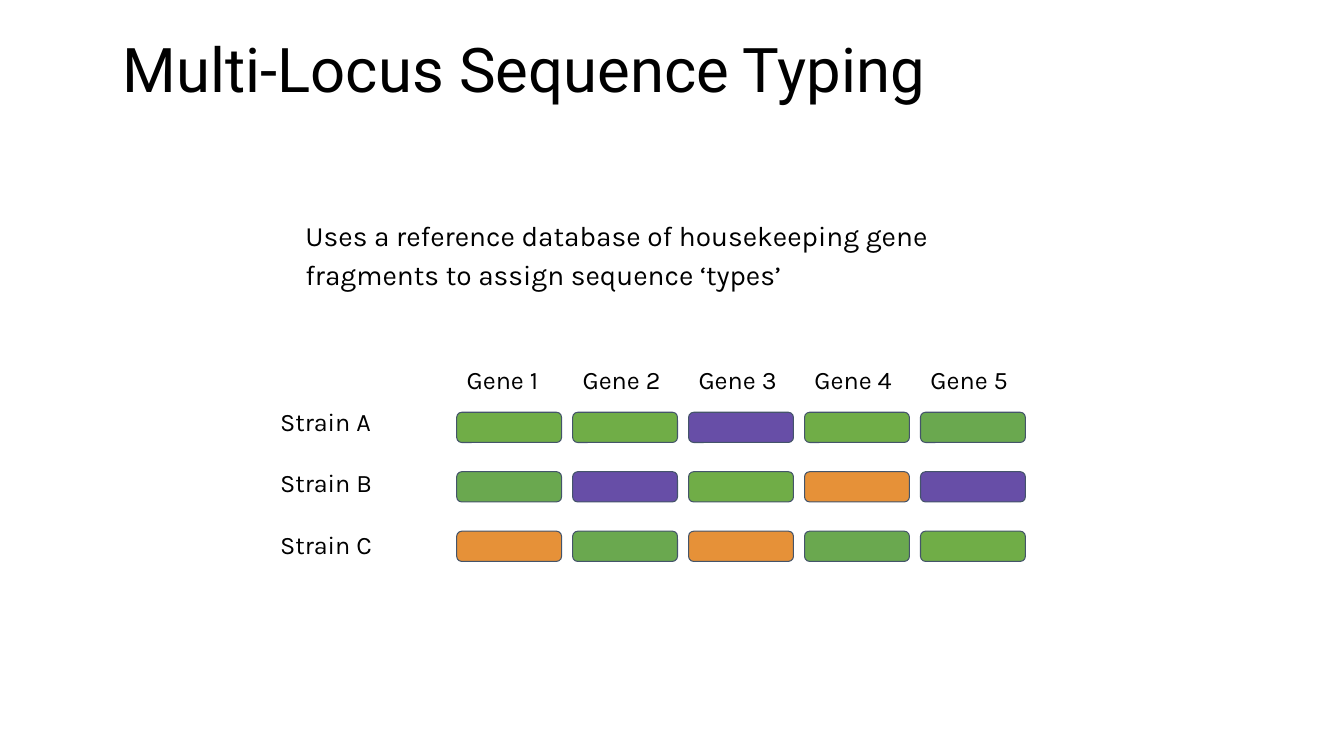
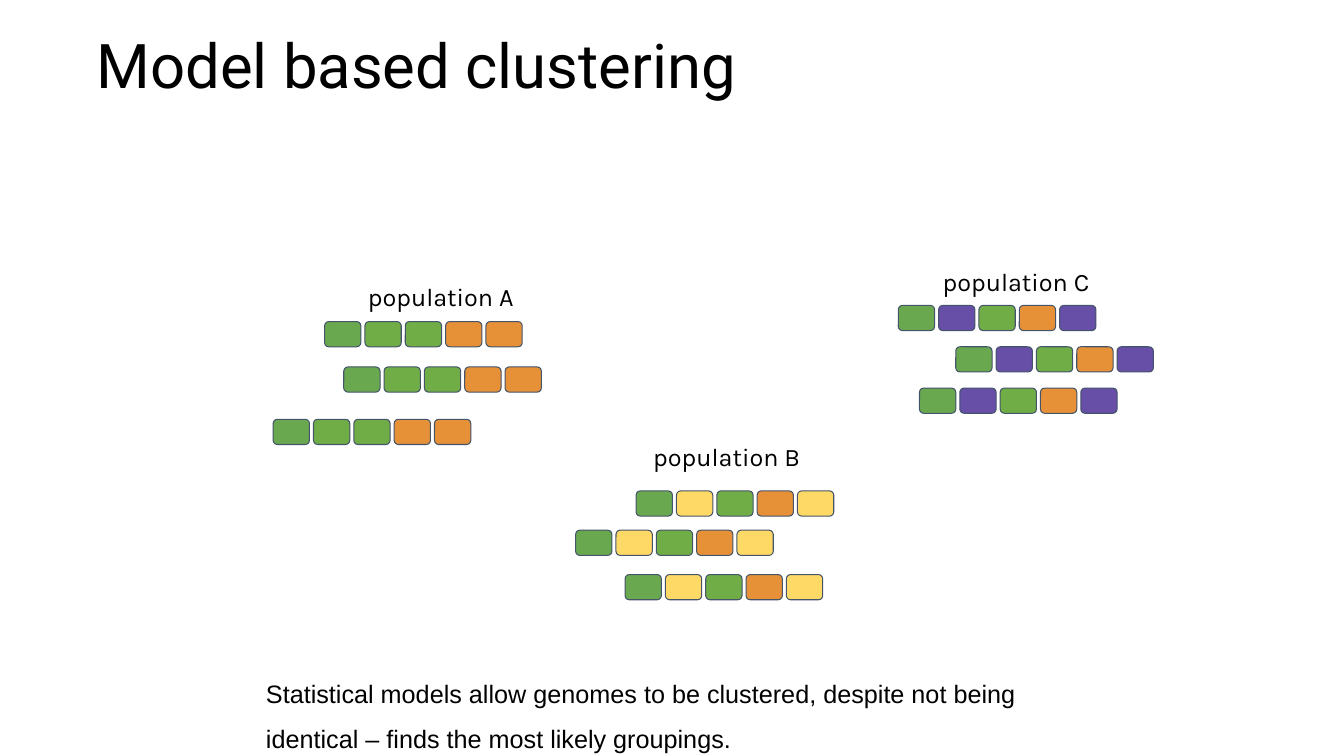
"""Build two slides on sequence typing and model based clustering."""
from pptx import Presentation
from pptx.dml.color import RGBColor
from pptx.enum.shapes import MSO_SHAPE
from pptx.enum.text import MSO_ANCHOR
from pptx.util import Inches, Pt

COLORS = {
    "text": "000000",
    "outline": "44546A",
    "green": "6AA84F",
    "lime": "70AD47",
    "purple": "674EA7",
    "orange": "E69138",
    "yellow": "FFD966",
}

STRAINS = {
    "Strain A": ["lime", "lime", "purple", "lime", "green"],
    "Strain B": ["green", "purple", "lime", "orange", "purple"],
    "Strain C": ["orange", "green", "orange", "green", "lime"],
}

POPULATIONS = [
    ("population A", (3.55, 2.69),
     ["green", "lime", "lime", "orange", "orange"],
     [(3.22, 3.19), (3.41, 3.64), (2.71, 4.16)]),
    ("population B", (6.38, 4.28),
     ["green", "yellow", "lime", "orange", "yellow"],
     [(6.31, 4.87), (5.71, 5.26), (6.2, 5.7)]),
    ("population C", (9.25, 2.54),
     ["green", "purple", "lime", "orange", "purple"],
     [(8.91, 3.03), (9.48, 3.44), (9.12, 3.85)]),
]


def rgb(name):
    return RGBColor.from_string(COLORS[name])


def add_text(s, text, x, y, w, h, size=18, font="Karla", spacing=None,
             anchor=MSO_ANCHOR.TOP, inset=(0.1, 0.1)):
    sp = s.shapes.add_textbox(Inches(x), Inches(y), Inches(w), Inches(h))
    tf = sp.text_frame
    tf.word_wrap = True
    tf.vertical_anchor = anchor
    tf.margin_left = tf.margin_right = Inches(inset[0])
    tf.margin_top = tf.margin_bottom = Inches(inset[1])
    tf.text = text
    p = tf.paragraphs[0]
    if spacing:
        p.line_spacing = spacing
    r = p.runs[0]
    r.font.size = Pt(size)
    r.font.name = font
    r.font.color.rgb = rgb("text")


def add_title(s, text, x, y):
    add_text(s, text, x, y, 8.28, 0.77, size=44, font="Roboto",
             spacing=0.9, anchor=MSO_ANCHOR.BOTTOM)


def add_block_row(s, colors, x, y, w, h, pitch):
    for i, color in enumerate(colors):
        sp = s.shapes.add_shape(MSO_SHAPE.ROUNDED_RECTANGLE,
                                Inches(x + i * pitch), Inches(y),
                                Inches(w), Inches(h))
        sp.shadow.inherit = False
        sp.fill.solid()
        sp.fill.fore_color.rgb = rgb(color)
        sp.line.color.rgb = rgb("outline")
        sp.line.width = Pt(0.75)


def build_typing(s):
    add_title(s, "Multi-Locus Sequence Typing", 1.12, 0.38)
    add_text(s, "Uses a reference database of housekeeping gene fragments "
             "to assign sequence ‘types’", 2.93, 2.02, 7.58, 1.06,
             size=20, spacing=1.15)
    left, pitch, width = 4.53, 1.15, 1.04
    for i, (strain, colors) in enumerate(STRAINS.items()):
        add_text(s, strain, 2.68, 3.93 + i * 0.61, 1.7, 0.49)
        add_block_row(s, colors, left, 4.09 + i * 0.59, width, 0.3, pitch)
    for i in range(5):
        add_text(s, f"Gene {i + 1}", left + i * pitch, 3.51, width, 0.49)


def build_clustering(s):
    add_title(s, "Model based clustering", 0.86, 0.34)
    for name, (x, y), colors, genomes in POPULATIONS:
        add_text(s, name, x, y, 1.68, 0.49)
        for left, top in genomes:
            add_block_row(s, colors, left, top, 0.36, 0.25, 0.4)
    add_text(s, "Statistical models allow genomes to be clustered, despite "
             "not being identical – finds the most likely groupings.",
             2.54, 6.53, 8.3, 0.97, font="Arial", spacing=1.5,
             inset=(0.1, 0.05))


def main():
    prs = Presentation()
    prs.slide_width = Inches(13.33)
    prs.slide_height = Inches(7.5)
    for build in (build_typing, build_clustering):
        build(prs.slides.add_slide(prs.slide_layouts[6]))
    prs.save("out.pptx")


if __name__ == "__main__":
    main()
